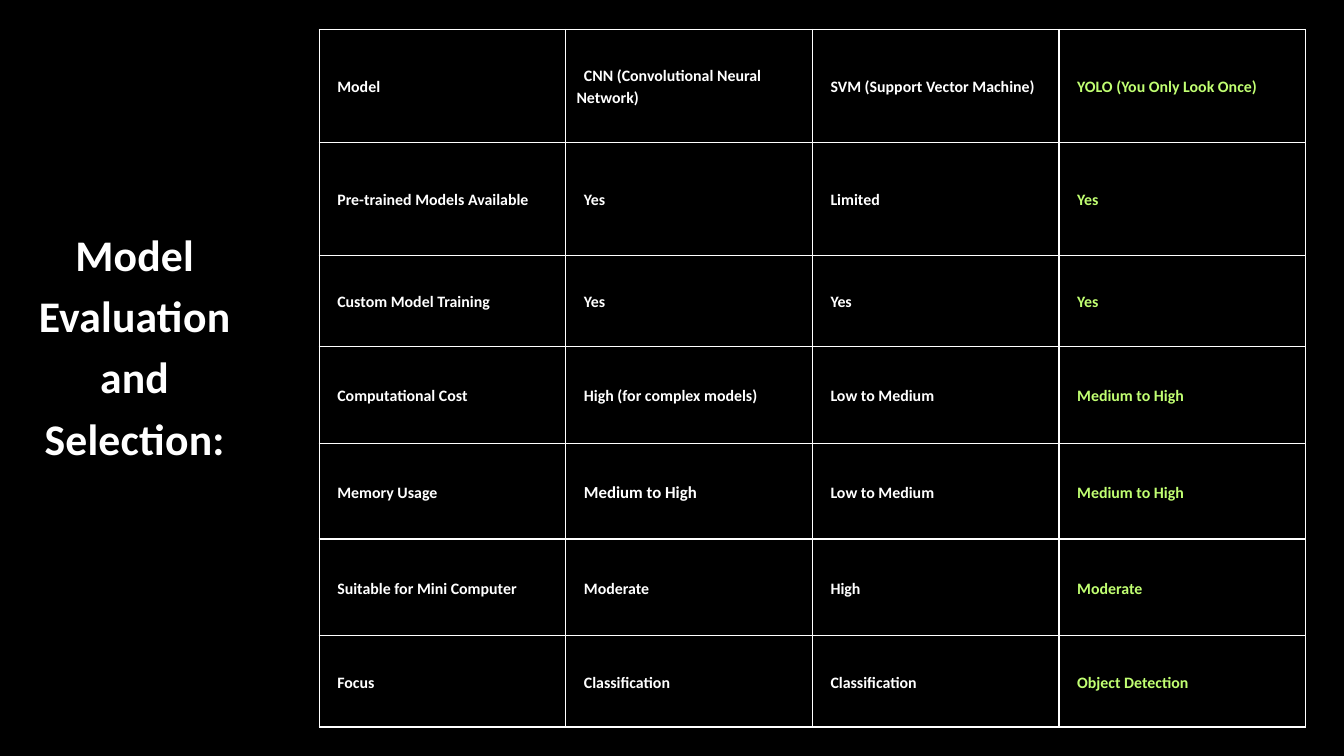
from lxml import etree
from pptx import Presentation, util as u
from pptx.dml.color import RGBColor
from pptx.enum import text
from pptx.oxml import ns

COLORS = {"back": "000000", "ink": "FFFFFF", "chosen": "C1FF72"}
TITLE = "Model Evaluation and Selection:"
ROWS = [
    ("Model", "CNN (Convolutional Neural Network)",
     "SVM (Support Vector Machine)", "YOLO (You Only Look Once)"),
    ("Pre-trained Models Available", "Yes", "Limited", "Yes"),
    ("Custom Model Training", "Yes", "Yes", "Yes"),
    ("Computational Cost", "High (for complex models)", "Low to Medium", "Medium to High"),
    ("Memory Usage", "Medium to High", "Low to Medium", "Medium to High"),
    ("Suitable for Mini Computer", "Moderate", "High", "Moderate"),
    ("Focus", "Classification", "Classification", "Object Detection"),
]
ROW_HEIGHTS = [1.68, 1.68, 1.36, 1.44, 1.42, 1.44, 1.36]
COLUMN_WIDTH = 3.67
COLUMNS = len(ROWS[0])
CHOSEN_COLUMN = COLUMNS - 1
LARGER_CELL = (4, 1)
BORDER_WIDTH = 1.5
SIDES = ("margin_left", "margin_right", "margin_top", "margin_bottom")
CELL_FORMAT = {"vertical_anchor": text.MSO_ANCHOR.MIDDLE,
               **dict.fromkeys(SIDES, u.Inches(0.16))}
TITLE_FORMAT = {"word_wrap": True, **dict.fromkeys(SIDES, 0)}


def apply(target, values):
    for name, value in values.items():
        setattr(target, name, value)


def write(para, words, size, spacing, color):
    span = para.add_run()
    span.text = words
    para.line_spacing = u.Pt(spacing)
    apply(span.font, {"name": "Calibri", "size": u.Pt(size), "bold": True})
    span.font.color.rgb = RGBColor.from_string(COLORS[color])
    return span


def add_borders(cell):
    properties = cell._tc.get_or_add_tcPr()
    for edge in ("lnL", "lnR", "lnT", "lnB"):
        line = etree.SubElement(properties, ns.qn(f"a:{edge}"), w=str(u.Pt(BORDER_WIDTH)))
        fill = etree.SubElement(line, ns.qn("a:solidFill"))
        etree.SubElement(fill, ns.qn("a:srgbClr"), val=COLORS["ink"])


def add_comparison(page):
    frame = page.shapes.add_table(
        len(ROWS), COLUMNS, u.Inches(4.75), u.Inches(0.44),
        u.Inches(COLUMN_WIDTH * COLUMNS), u.Inches(sum(ROW_HEIGHTS)))
    table = frame.table
    apply(table, {"first_row": False, "horz_banding": False})
    for column in table.columns:
        column.width = u.Inches(COLUMN_WIDTH)
    for r, (height, entries) in enumerate(zip(ROW_HEIGHTS, ROWS)):
        table.rows[r].height = u.Inches(height)
        for c, words in enumerate(entries):
            cell = table.cell(r, c)
            apply(cell, CELL_FORMAT)
            add_borders(cell)
            cell.fill.background()
            size = 18 if (r, c) == LARGER_CELL else 17
            color = "chosen" if c == CHOSEN_COLUMN else "ink"
            para = cell.text_frame.paragraphs[0]
            write(para, words, size, size * 1.4, color)
            para._p.get_or_add_pPr().set("indent", str(u.Inches(0.11)))


def add_title(page):
    box = page.shapes.add_textbox(
        u.Inches(0.33), u.Inches(3.26), u.Inches(3.35), u.Inches(3.59))
    apply(box.text_frame, TITLE_FORMAT)
    para = box.text_frame.paragraphs[0]
    para.alignment = text.PP_ALIGN.CENTER
    span = write(para, TITLE, 46.8, 65.6, "ink")
    span._r.get_or_add_rPr().set("spc", "20")


def main():
    deck = Presentation()
    apply(deck, {"slide_width": u.Inches(20), "slide_height": u.Inches(11.25)})
    page = deck.slides.add_slide(deck.slide_layouts[6])
    page.background.fill.solid()
    page.background.fill.fore_color.rgb = RGBColor.from_string(COLORS["back"])
    add_comparison(page)
    add_title(page)
    deck.save("out.pptx")


if __name__ == "__main__":
    main()
